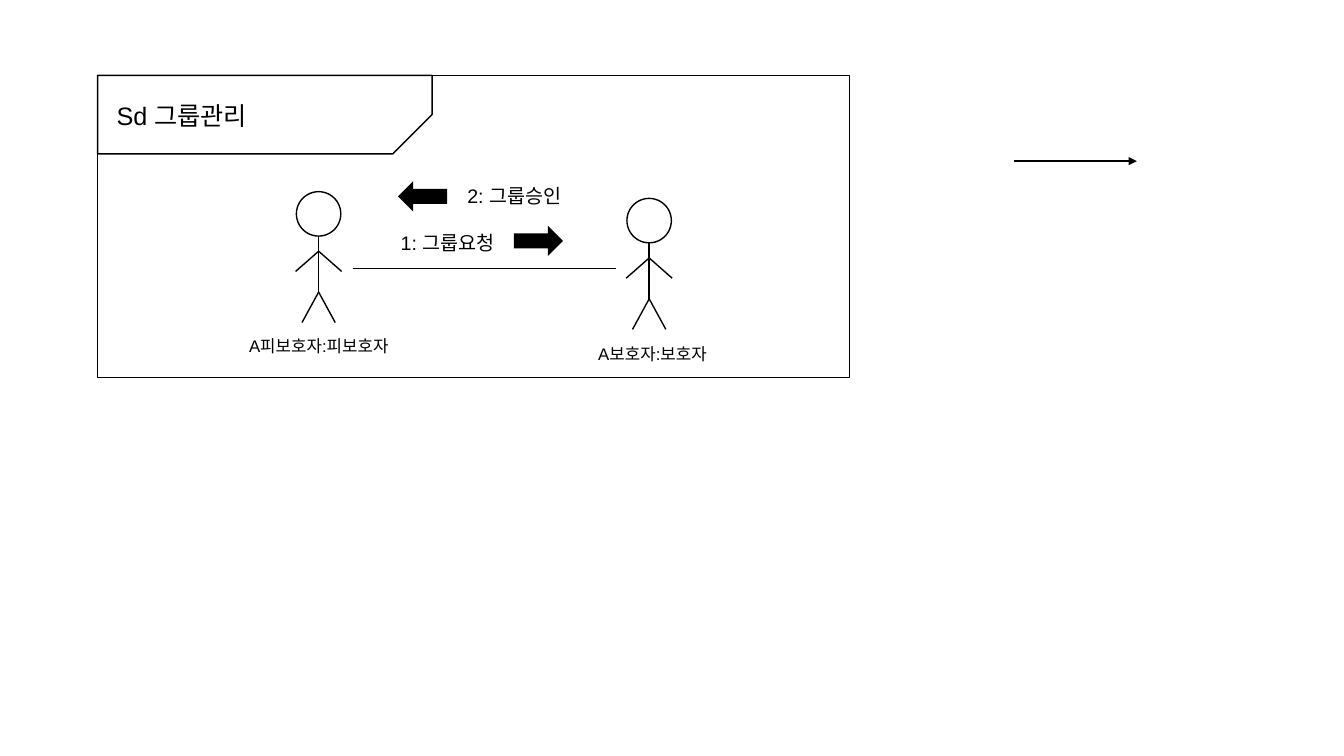
from dataclasses import dataclass

from lxml import etree
from pptx import Presentation
from pptx.dml.color import RGBColor
from pptx.enum.shapes import MSO_CONNECTOR, MSO_SHAPE
from pptx.enum.text import MSO_ANCHOR, PP_ALIGN
from pptx.oxml.ns import qn
from pptx.util import Cm, Pt

RECT = MSO_SHAPE.RECTANGLE
OVAL = MSO_SHAPE.OVAL
SNIP = MSO_SHAPE.SNIP_1_RECTANGLE
ARROW = MSO_SHAPE.RIGHT_ARROW
STRAIGHT = MSO_CONNECTOR.STRAIGHT
MIDDLE = MSO_ANCHOR.MIDDLE
LEFT, CENTER = PP_ALIGN.LEFT, PP_ALIGN.CENTER


@dataclass(frozen=True)
class Theme:
    """Hold the colours, font and sizes of the diagram."""
    ink: RGBColor = RGBColor(0, 0, 0)
    paper: RGBColor = RGBColor(255, 255, 255)
    font: str = "Arial"
    title: int = 18
    message: int = 14
    name: int = 12
    stroke: int = 1


THEME = Theme()


def set_text(s, text, size=THEME.message, align=CENTER, color=THEME.ink):
    """Write one formatted line of text into a shape."""
    tf = s.text_frame
    tf.word_wrap = True
    tf.vertical_anchor = MIDDLE
    p = tf.paragraphs[0]
    p.alignment = align
    r = p.add_run()
    r.text = text
    r.font.name = THEME.font
    r.font.size = Pt(size)
    r.font.color.rgb = color


def add_shape(shapes, kind, x, y, w, h, fill=None, line=None, flip=None):
    """Add a preset shape with optional fill, outline and flip."""
    s = shapes.add_shape(kind, Cm(x), Cm(y), Cm(w), Cm(h))
    s.shadow.inherit = False
    if fill is None:
        s.fill.background()
    else:
        s.fill.solid()
        s.fill.fore_color.rgb = fill
    if line is None:
        s.line.fill.background()
    else:
        s.line.color.rgb = line
        s.line.width = Pt(THEME.stroke)
    if flip:
        s.element.spPr.get_or_add_xfrm().set(flip, "1")
    return s


def add_line(shapes, x1, y1, x2, y2, arrow=False):
    """Add a straight line, with an arrowhead at its end if asked."""
    s = shapes.add_connector(STRAIGHT, Cm(x1), Cm(y1), Cm(x2), Cm(y2))
    s.line.color.rgb = THEME.ink
    s.line.width = Pt(THEME.stroke)
    if arrow:
        ln = s.line._get_or_add_ln()
        etree.SubElement(ln, qn("a:tailEnd"), type="triangle")
    etree.SubElement(s.element.spPr, qn("a:effectLst"))


def add_label(shapes, text, x, y, size=THEME.message):
    """Add a white box with centred text."""
    s = add_shape(shapes, RECT, x, y, 4.95, 1.65, fill=THEME.paper)
    set_text(s, text, size=size)


def add_actor(shapes, x, y):
    """Add a grouped stick figure centred on x with its head top at y."""
    head, shoulder, hand, hip, foot = 1.12, 1.5, 2.01, 2.53, 3.3
    body = shapes.add_group_shape().shapes
    add_shape(body, OVAL, x - head / 2, y, head, head, line=THEME.ink)
    add_line(body, x, y + head, x, y + hip)
    for side in (-1, 1):
        add_line(body, x, y + shoulder, x + side * 0.58, y + hand)
        add_line(body, x, y + hip, x + side * 0.42, y + foot)


def add_frame(shapes, text, x, y):
    """Add the diagram frame with its titled corner tab."""
    add_shape(shapes, RECT, x, y, 18.95, 7.62, line=THEME.ink)
    tab = add_shape(shapes, SNIP, x, y, 8.43, 1.98, line=THEME.ink, flip="flipV")
    tab.adjustments[0] = 0.5
    s = shapes.add_textbox(Cm(x + 0.23), Cm(y + 0.36), Cm(7.26), Cm(1.3))
    set_text(s, text, size=THEME.title, align=LEFT)


def add_block_arrow(shapes, x, y, flip=None):
    """Add a solid arrow that shows the direction of a message."""
    add_shape(shapes, ARROW, x, y, 1.24, 0.76, fill=THEME.ink, flip=flip)


def main():
    """Build the group management communication diagram."""
    prs = Presentation()
    prs.slide_width, prs.slide_height = Cm(33.87), Cm(19.05)
    shapes = prs.slides.add_slide(prs.slide_layouts[6]).shapes

    add_label(shapes, "A피보호자:피보호자", 5.56, 7.9, size=THEME.name)
    add_label(shapes, "A보호자:보호자", 13.97, 8.1, size=THEME.name)
    add_actor(shapes, 8.03, 4.83)
    add_actor(shapes, 16.36, 5)
    add_line(shapes, 25.55, 4.06, 28.65, 4.06, arrow=True)

    add_label(shapes, "1: 그룹요청", 8.81, 5.28)
    add_frame(shapes, "Sd 그룹관리", 2.46, 1.9)
    add_label(shapes, "2: 그룹승인", 10.49, 4.11)
    add_line(shapes, 8.89, 6.76, 15.52, 6.76)
    add_block_arrow(shapes, 12.95, 5.69)
    add_block_arrow(shapes, 10.03, 4.57, flip="flipH")

    prs.save("out.pptx")


main()
